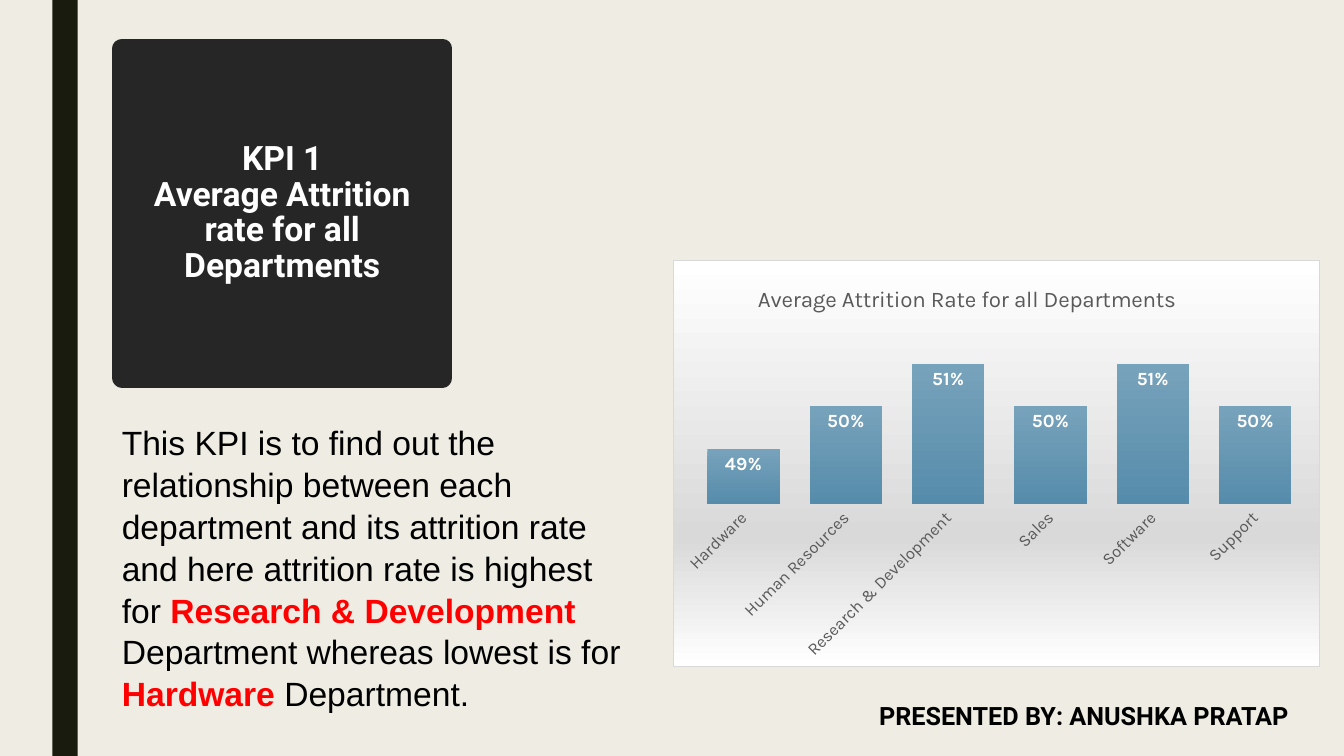
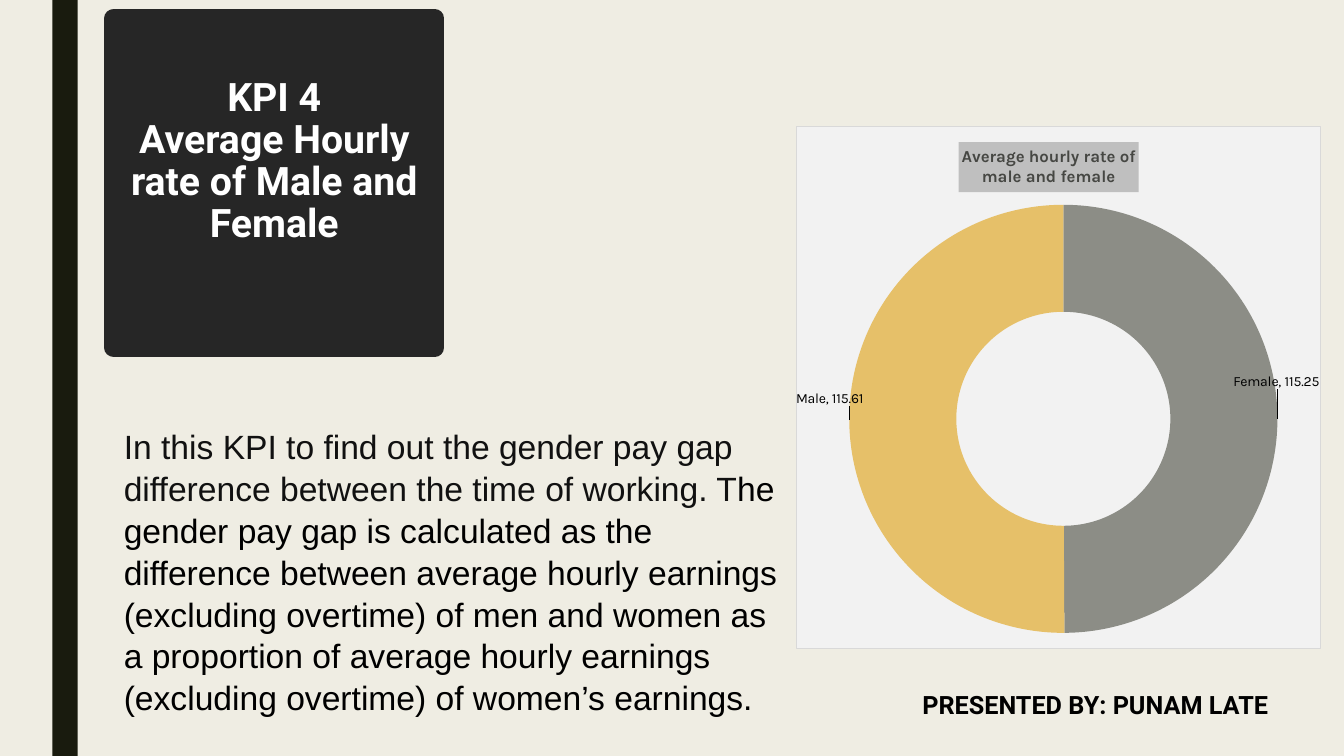
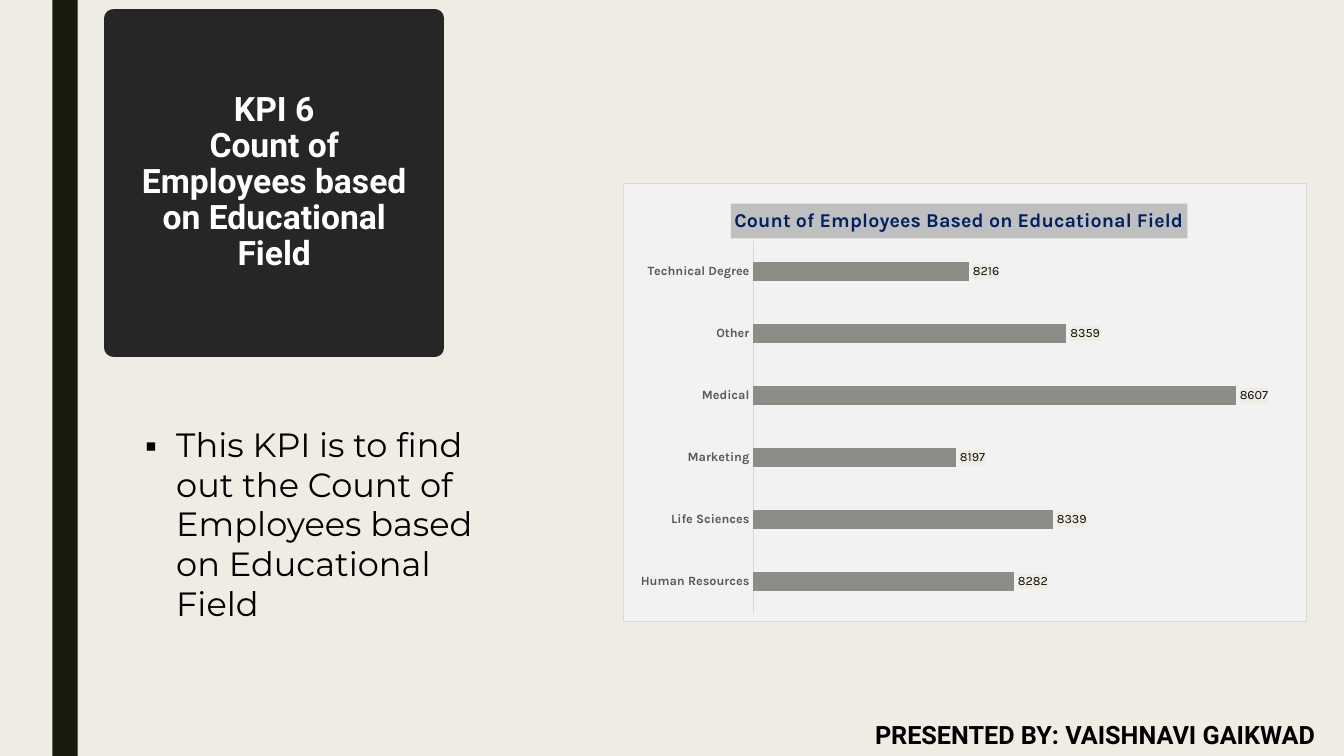
from lxml import etree
from pptx import Presentation
from pptx.chart.data import CategoryChartData
from pptx.dml.color import RGBColor
from pptx.enum.chart import XL_CHART_TYPE as Kind, XL_LABEL_POSITION as Spot, XL_TICK_MARK as Tick
from pptx.enum.shapes import MSO_SHAPE as Preset
from pptx.enum.text import MSO_ANCHOR as Anchor, MSO_AUTO_SIZE as Fit, PP_ALIGN as Align
from pptx.oxml import parse_xml
from pptx.oxml.ns import nsdecls, qn
from pptx.util import Inches, Pt

WIDTH, HEIGHT = 13.33, 7.5
PAPER, BAR, DISC = "EFEDE3", "191B0E", "262626"
BLACK, WHITE, RED = "000000", "FFFFFF", "FF0000"
PANEL, BORDER, GREY, GOLD, PLATE = "F2F2F2", "D9D9D9", "8C8D86", "E6C069", "BFBFBF"
DISC_SIZE = (3.18, 3.27)

SLIDES = [
    dict(
        title=["KPI 1", "Average Attrition rate for all Departments"],
        title_size=24, disc=(1.21, 0.48), lift=0,
        body=[
            ["This KPI is to find out the"],
            ["relationship between each"],
            ["department and its attrition rate and here attrition rate is highest for ",
             ("Research & Development ", RED, True), "Department whereas lowest is for ",
             ("Hardware", RED, True), " Department."],
        ],
        body_box=(1.11, 4.12, 5.33, 2.93), body_style=dict(font="Arial", spacing=1.04),
        presenter="ANUSHKA PRATAP", presenter_at=(8.62, 6.9),
        chart=dict(
            kind=Kind.COLUMN_CLUSTERED, box=(6.67, 2.58, 6.42, 4.04),
            values={"Hardware": 0.49, "Human Resources": 0.5, "Research & Development": 0.51,
                    "Sales": 0.5, "Software": 0.51, "Support": 0.5},
            title=["Average Attrition Rate for all Departments"],
            title_style=dict(size=16, color="595959"), title_at=(0.125, 0.05),
            panel=[(0, WHITE), (68, BORDER), (100, WHITE)], plot=(0.03, 0.17, 0.95, 0.43),
            gap=41, span=(0.477, 0.518), bars=[(0, "77A2BB"), (100, "568CAB")],
            cats=dict(size=12, color="595959"), turn=-45,
            labels=dict(size=13.3, color=WHITE, bold=True), spot=Spot.INSIDE_END, format="0%"),
    ),
    dict(
        title=["KPI 4", "Average Hourly rate of Male and Female"],
        title_size=28, disc=(1.13, 0.18), lift=0.42,
        body=[[("In this KPI to find out the gender pay gap difference between the time of working. T",
                "111111", False),
               "he gender pay gap is calculated as the difference between average hourly earnings "
               "(excluding overtime) of men and women as a proportion of average hourly earnings "
               "(excluding overtime) of women’s earnings."]],
        body_box=(1.13, 4.16, 6.76, 2.93), body_style=dict(font="Arial", spacing=1.04),
        presenter="PUNAM LATE", presenter_at=(9.05, 6.79),
        chart=dict(
            kind=Kind.DOUGHNUT, box=(7.89, 1.25, 5.21, 5.19),
            values={"Female": 115.25, "Male": 115.61},
            title=["Average hourly rate of", "male and female"],
            title_style=dict(size=12, color="464743", bold=True), title_at=(0.31, 0.03), plate=PLATE,
            panel=PANEL, plot=(0.1, 0.15, 0.82, 0.82),
            slices=[(GREY, (0.1, -0.07)), (GOLD, (-0.14, -0.04))],
            labels=dict(size=10, color=BLACK)),
    ),
    dict(
        title=["KPI 6", "Count of Employees based on Educational Field"],
        title_size=24, disc=(1.13, 0.18), lift=0,
        body=[["This KPI is to find out the Count of Employees based on Educational Field"]],
        body_box=(1.34, 4.18, 3.83, 2.42),
        body_style=dict(font="Montserrat", spacing=0.98, bullet="▪"),
        presenter="VAISHNAVI GAIKWAD", presenter_at=(8.58, 7.09),
        chart=dict(
            kind=Kind.BAR_CLUSTERED, box=(6.18, 1.82, 6.78, 4.35),
            values={"Human Resources": 8282, "Life Sciences": 8339, "Marketing": 8197,
                    "Medical": 8607, "Other": 8359, "Technical Degree": 8216},
            title=["Count of Employees Based on Educational Field"],
            title_style=dict(size=14, color="002060", bold=True), title_at=(0.157, 0.045), plate=PLATE,
            panel=PANEL, plot=(0.19, 0.13, 0.8, 0.85),
            gap=219, span=(7900, 8700), bars=GREY,
            cats=dict(size=9, color="595959", bold=True), axis_line=BORDER,
            labels=dict(size=9, color="0D0D0D"), label_fill=PAPER, spot=Spot.OUTSIDE_END, format="0"),
    ),
]


def rgb(code):
    return RGBColor.from_string(code)


def inches(values):
    return [Inches(value) for value in values]


def style(font, size, color, bold=False, face="Karla"):
    font.size, font.bold, font.name = Pt(size), bold, face
    font.color.rgb = rgb(color)


def write(frame, paragraphs, size=24, color=BLACK, bold=False, font="Roboto",
          align=None, spacing=None, bullet=None):
    for index, parts in enumerate(paragraphs):
        line = frame.paragraphs[0] if index == 0 else frame.add_paragraph()
        if align is not None:
            line.alignment = align
        if spacing:
            line.line_spacing = spacing
        if bullet:
            props = line._p.get_or_add_pPr()
            props.set("marL", str(Inches(0.31)))
            props.set("indent", str(Inches(-0.31)))
            etree.SubElement(props, qn("a:buFont")).set("typeface", "Arial")
            etree.SubElement(props, qn("a:buChar")).set("char", bullet)
        for part in [parts] if isinstance(parts, str) else parts:
            words, tint, heavy = (part, color, bold) if isinstance(part, str) else part
            run = line.add_run()
            run.text = words
            style(run.font, size, tint, heavy, font)


def add_text(slide, box, paragraphs, **look):
    frame = slide.shapes.add_textbox(*inches(box)).text_frame
    frame.word_wrap = True
    write(frame, paragraphs, **look)


def fill_xml(fill):
    if isinstance(fill, str):
        return f'<a:solidFill><a:srgbClr val="{fill}"/></a:solidFill>'
    stops = "".join(f'<a:gs pos="{share * 1000}"><a:srgbClr val="{code}"/></a:gs>' for share, code in fill)
    return f'<a:gradFill><a:gsLst>{stops}</a:gsLst><a:lin ang="5400000" scaled="0"/></a:gradFill>'


def paint_before(follower, fill, border=None):
    line = f'<a:ln w="9525">{fill_xml(border)}</a:ln>' if border else ""
    follower.addprevious(parse_xml(f'<c:spPr {nsdecls("c", "a")}>{fill_xml(fill)}{line}</c:spPr>'))


def layout(shares, inner=False):
    target = '<c:layoutTarget val="inner"/>' if inner else ""
    return target, shares


def place(shares, mode="edge", inner=False):
    target = '<c:layoutTarget val="inner"/>' if inner else ""
    modes = f'<c:xMode val="{mode}"/><c:yMode val="{mode}"/>' if mode else ""
    sizes = "".join(f'<c:{key} val="{share}"/>' for key, share in zip("xywh", shares))
    return parse_xml(f'<c:layout {nsdecls("c")}><c:manualLayout>{target}{modes}{sizes}'
                     '</c:manualLayout></c:layout>')


def style_bars(chart, look):
    plot, series = chart.plots[0], chart.plots[0].series[0]
    plot.gap_width, plot.vary_by_categories = look["gap"], False
    series.invert_if_negative = False
    paint_before(series._element.find(qn("c:invertIfNegative")), look["bars"])
    values, cats = chart.value_axis, chart.category_axis
    values.minimum_scale, values.maximum_scale = look["span"]
    values.has_major_gridlines = values.visible = False
    cats.major_tick_mark = cats.minor_tick_mark = Tick.NONE
    style(cats.tick_labels.font, **look["cats"])
    if "turn" in look:
        cats._element.find(qn("c:txPr")).find(qn("a:bodyPr")).set("rot", str(look["turn"] * 60000))
    if "axis_line" in look:
        cats.format.line.color.rgb = rgb(look["axis_line"])
        cats.format.line.width = Pt(0.75)
    else:
        cats.format.line.fill.background()
    labels = series.data_labels
    labels.show_value, labels.position = True, look["spot"]
    labels.number_format, labels.number_format_is_linked = look["format"], False
    style(labels.font, **look["labels"])
    if "label_fill" in look:
        paint_before(labels._element.find(qn("c:txPr")), look["label_fill"])


def style_slices(chart, look):
    for index, (color, shift) in enumerate(look["slices"]):
        point = chart.plots[0].series[0].points[index]
        point.format.fill.solid()
        point.format.fill.fore_color.rgb = rgb(color)
        style(point.data_label.font, **look["labels"])
        label = point.data_label._dLbl
        label.find(qn("c:idx")).addnext(place(shift, mode=None))
        label.find(qn("c:showCatName")).set("val", "1")
        etree.SubElement(label, qn("c:separator")).text = ", "


def add_chart(slide, look):
    data = CategoryChartData()
    data.categories = list(look["values"])
    data.add_series("Series 1", list(look["values"].values()))
    chart = slide.shapes.add_chart(look["kind"], *inches(look["box"]), data).chart
    chart.has_legend = False
    style(chart.font, 10, BLACK)
    paint_before(chart._chartSpace.find(qn("c:txPr")), look["panel"], BORDER)
    chart.has_title = True
    heading = chart.chart_title
    write(heading.text_frame, look["title"], font="Karla", align=Align.CENTER, **look["title_style"])
    heading.include_in_layout = False
    if "plate" in look:
        heading.format.fill.solid()
        heading.format.fill.fore_color.rgb = rgb(look["plate"])
    for old in heading._element.findall(qn("c:layout")):
        heading._element.remove(old)
    heading._element.find(qn("c:tx")).addnext(place(look["title_at"]))
    area = chart._chartSpace.chart.plotArea
    for old in area.findall(qn("c:layout")):
        area.remove(old)
    area.insert(0, place(look["plot"], inner=True))
    if "slices" in look:
        style_slices(chart, look)
    else:
        style_bars(chart, look)


def add_disc_title(slide, content):
    disc = slide.shapes.title
    disc.left, disc.top, disc.width, disc.height = inches(content["disc"] + DISC_SIZE)
    disc._element.spPr.find(qn("a:xfrm")).addnext(
        parse_xml(f'<a:prstGeom {nsdecls("a")} prst="ellipse"><a:avLst/></a:prstGeom>'))
    disc.fill.solid()
    disc.fill.fore_color.rgb = disc.line.color.rgb = rgb(DISC)
    disc.line.width = Pt(13.75)
    frame = disc.text_frame
    frame.word_wrap, frame.auto_size, frame.vertical_anchor = True, Fit.NONE, Anchor.MIDDLE
    frame.margin_left = frame.margin_right = Inches(0.1)
    frame.margin_top, frame.margin_bottom = inches((0.05, 0.05 + content["lift"]))
    write(frame, content["title"], size=content["title_size"], color=WHITE, bold=True,
          align=Align.CENTER, spacing=0.89)


def style_master(master, slide):
    master.background.fill.solid()
    master.background.fill.fore_color.rgb = rgb(PAPER)
    bar = slide.shapes.add_shape(Preset.RECTANGLE, *inches((0.52, 0, 0.25, HEIGHT)))
    bar.shadow.inherit = False
    bar.fill.solid()
    bar.fill.fore_color.rgb = rgb(BAR)
    bar.line.fill.background()
    master.shapes._spTree.insert(2, bar._element)


def main():
    deck = Presentation()
    deck.slide_width, deck.slide_height = inches((WIDTH, HEIGHT))
    for index, content in enumerate(SLIDES):
        slide = deck.slides.add_slide(deck.slide_layouts[5])
        if index == 0:
            style_master(deck.slide_master, slide)
        add_disc_title(slide, content)
        add_text(slide, content["body_box"], content["body"], **content["body_style"])
        add_chart(slide, content["chart"])
        left, top = content["presenter_at"]
        add_text(slide, (left, top, WIDTH - left, 0.4), [f"PRESENTED BY: {content['presenter']}"],
                 size=18, bold=True)
    deck.save("out.pptx")


if __name__ == "__main__":
    main()
